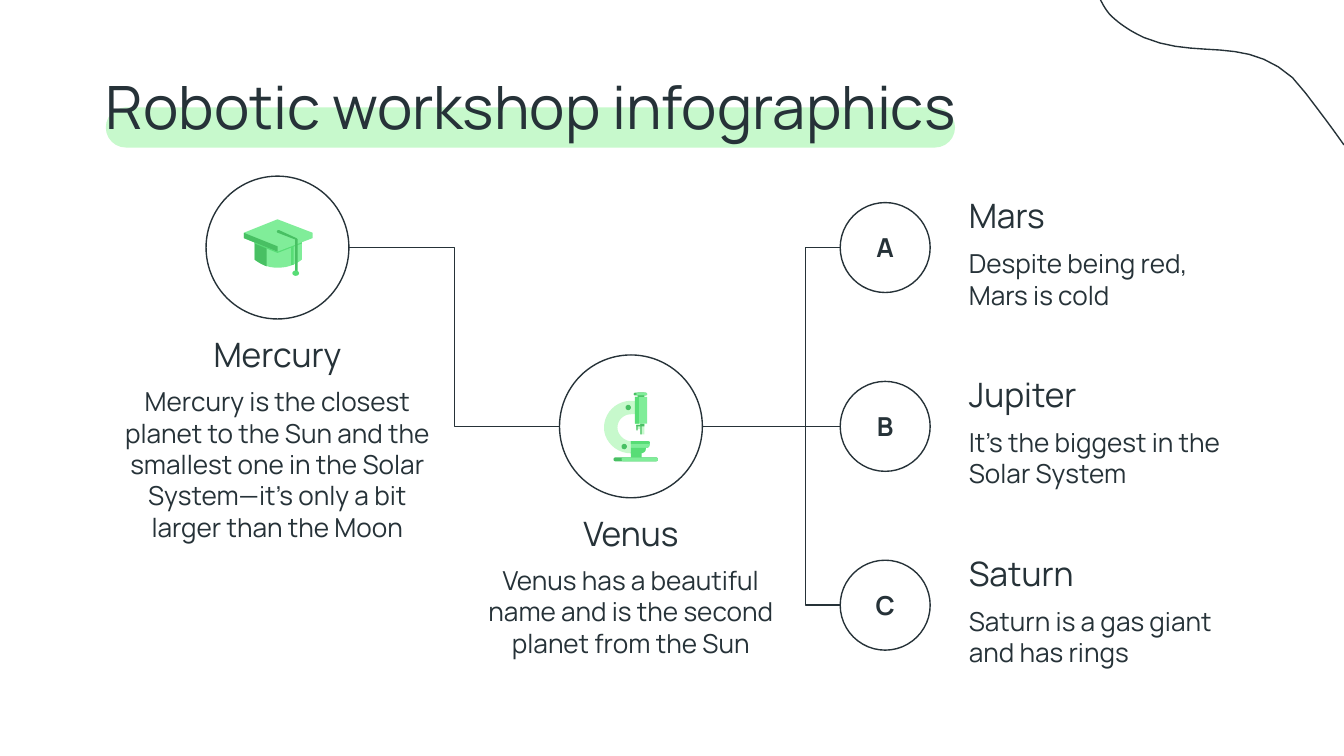
from dataclasses import dataclass

from lxml import etree
from pptx import Presentation
from pptx.dml.color import RGBColor
from pptx.enum.shapes import MSO_CONNECTOR, MSO_SHAPE
from pptx.enum.text import MSO_ANCHOR, PP_ALIGN
from pptx.oxml.ns import qn
from pptx.util import Cm, Pt

ELBOW, STRAIGHT = MSO_CONNECTOR.ELBOW, MSO_CONNECTOR.STRAIGHT
OVAL, RECT, PILL = MSO_SHAPE.OVAL, MSO_SHAPE.RECTANGLE, MSO_SHAPE.ROUNDED_RECTANGLE
LEFT, CENTER = PP_ALIGN.LEFT, PP_ALIGN.CENTER
TOP, MIDDLE, BOTTOM = MSO_ANCHOR.TOP, MSO_ANCHOR.MIDDLE, MSO_ANCHOR.BOTTOM


@dataclass(frozen=True)
class Theme:
    ink: str = "263238"
    white: str = "FFFFFF"
    pale: str = "C7F9CC"
    light: str = "80ED99"
    mid: str = "58DD76"
    dark: str = "48C063"
    font: str = "Manrope"
    title: int = 32
    heading: int = 18
    body: int = 14
    line: float = 0.75


@dataclass(frozen=True)
class Box:
    """A rectangle in centimetres."""
    left: float
    top: float
    width: float
    height: float

    @property
    def right(self):
        return self.left + self.width

    @property
    def middle(self):
        return self.top + self.height / 2

    def inner(self, left, top, width, height):
        return Box(self.left + left, self.top + top, width, height)

    def lengths(self):
        return [Cm(v) for v in (self.left, self.top, self.width, self.height)]


THEME = Theme()
INSET = 0.25
PITCH = 3.38
ICON_GRID = 106  # icon units across its circle

# Icon parts: (form, colour, geometry). A form of None is an outline whose
# pairs are corners and whose sixes are Bezier curves.
CAP = [
    (None, THEME.light, [(36, 49), (36, 62), (41, 66, 47, 68, 53, 68),
                         (60, 68, 66, 66, 71, 62), (71, 49)]),
    (None, THEME.dark, [(36, 49), (36, 62), (39, 64, 42, 66, 45, 67), (45, 49)]),
    (RECT, THEME.mid, (63, 51, 2, 15)),
    (None, THEME.mid, [(36, 49), (36, 50), (53, 57), (71, 50), (71, 49)]),
    (None, THEME.light, [(53, 32), (28, 42), (28, 46), (53, 56), (79, 46), (79, 42)]),
    (None, THEME.dark, [(28, 42), (28, 46), (53, 56), (53, 52)]),
    (None, THEME.dark, [(54, 40), (53, 40, 52, 41, 53, 42), (66, 47), (66, 70),
                        (66, 70, 66, 71, 67, 71), (67, 71, 68, 70, 68, 70),
                        (68, 47), (68, 47, 67, 46, 67, 46)]),
    (OVAL, THEME.mid, (64, 70, 5, 4)),
]
MICROSCOPE = [
    (None, THEME.pale, [(57, 51), (57, 55), (62, 55), (60, 51)]),
    (RECT, THEME.pale, (60, 51, 3, 8)),
    (RECT, THEME.dark, (60, 51, 3, 2)),
    (RECT, THEME.dark, (60, 51, 1, 8)),
    (RECT, THEME.dark, (57, 52, 3, 1)),
    (RECT, THEME.dark, (57, 52, 1, 4)),
    (RECT, THEME.dark, (58, 28, 5, 5)),
    (None, THEME.pale, [(53, 34), (42, 34, 33, 43, 33, 54), (33, 64, 42, 73, 53, 73),
                        (56, 69), (53, 64), (48, 64, 43, 59, 43, 54),
                        (43, 48, 48, 44, 53, 44), (56, 44), (59, 39), (56, 34)]),
    (RECT, THEME.mid, (53, 72, 8, 6)),
    (RECT, THEME.light, (56, 31, 9, 20)),
    (RECT, THEME.mid, (56, 31, 3, 20)),
    (None, THEME.light, [(53, 64), (53, 69), (65, 69), (66, 69, 67, 68, 67, 66),
                         (67, 65, 66, 64, 65, 64)]),
    (None, THEME.mid, [(53, 64), (53, 66), (65, 66), (66, 66, 67, 66, 67, 65),
                       (67, 64, 66, 64, 65, 64)]),
    (None, THEME.mid, [(53, 69), (53, 73), (60, 73), (62, 73, 64, 72, 64, 70), (64, 69)]),
    (PILL, THEME.dark, (55, 28, 10, 2)),
    (PILL, THEME.light, (57, 28, 8, 2)),
    (PILL, THEME.dark, (40, 76, 33, 3)),
    (PILL, THEME.light, (46, 76, 27, 3)),
    (OVAL, THEME.dark, (49, 37, 4, 4)),
    (OVAL, THEME.dark, (46, 66, 4, 4)),
]
CORNER_CURVE = [(20.8, 0), (20.85, 0.1, 20.91, 0.2, 20.98, 0.28),
                (21.13, 0.43, 21.34, 0.58, 21.62, 0.71),
                (22.63, 1.14, 23.52, 0.66, 24.43, 1.47),
                (24.51, 1.57, 24.61, 1.68, 24.69, 1.78),
                (24.94, 2.11, 25.17, 2.41, 25.4, 2.74)]


def style(shape, fill=None, line=None):
    shape.shadow.inherit = False
    if fill:
        shape.fill.solid()
        shape.fill.fore_color.rgb = RGBColor.from_string(fill)
    else:
        shape.fill.background()
    if line:
        shape.line.color.rgb = RGBColor.from_string(line)
        shape.line.width = Pt(THEME.line)
    else:
        shape.line.fill.background()


def add_preset(shapes, form, box, fill, line=None):
    shape = shapes.add_shape(form, *box.lengths())
    if form == PILL:
        shape.adjustments[0] = 0.5
    style(shape, fill, line)
    return shape


def flatten(segments, steps=10):
    points = []
    for segment in segments:
        if len(segment) == 2:
            points.append(segment)
            continue
        curve = [points[-1], segment[:2], segment[2:4], segment[4:]]
        for step in range(1, steps + 1):
            t = step / steps
            weights = ((1 - t) ** 3, 3 * t * (1 - t) ** 2, 3 * t * t * (1 - t), t ** 3)
            points.append(tuple(sum(w * p[axis] for w, p in zip(weights, curve))
                                for axis in (0, 1)))
    return points


def add_outline(shapes, segments, fill=None, line=None, origin=(0, 0), unit=1):
    points = [tuple(Cm(start + v * unit) for start, v in zip(origin, point))
              for point in flatten(segments)]
    builder = shapes.build_freeform(*points[0])
    builder.add_line_segments(points[1:], close=bool(fill))
    style(builder.convert_to_shape(), fill, line)


def write(shape, text, size, align=LEFT, anchor=TOP, bold=None, side=INSET):
    frame = shape.text_frame
    frame.word_wrap = True
    frame.vertical_anchor = anchor
    frame.margin_left = frame.margin_right = Cm(side)
    frame.margin_top = frame.margin_bottom = Cm(INSET)
    paragraph = frame.paragraphs[0]
    paragraph.alignment = align
    run = paragraph.add_run()
    run.text = text
    run.font.name, run.font.size, run.font.bold = THEME.font, Pt(size), bold
    run.font.color.rgb = RGBColor.from_string(THEME.ink)


def add_text(slide, box, *args, **options):
    write(slide.shapes.add_textbox(*box.lengths()), *args, **options)


def add_link(slide, start, end, bend=None):
    """Join the right of one circle to the left of another."""
    points = [Cm(v) for v in (start.right, start.middle, end.left, end.middle)]
    connector = slide.shapes.add_connector(ELBOW if bend else STRAIGHT, *points)
    connector.line.color.rgb = RGBColor.from_string(THEME.ink)
    connector.line.width = Pt(THEME.line)
    properties = connector._element.spPr
    if bend:
        guides = properties.find(qn("a:prstGeom")).get_or_add_avLst()
        etree.SubElement(guides, qn("a:gd"), name="adj1", fmla=f"val {bend * 1000}")
    etree.SubElement(properties, qn("a:effectLst"))


def add_title(slide, box, text):
    add_preset(slide.shapes, PILL, box.inner(0, 0.96, 16.05, 0.76), THEME.pale)
    add_text(slide, box, text, THEME.title, side=0)


def add_icon(slide, box, parts):
    shapes = slide.shapes.add_group_shape().shapes
    unit = box.width / ICON_GRID
    for form, colour, geometry in parts:
        if form is None:
            add_outline(shapes, geometry, colour, origin=(box.left, box.top), unit=unit)
        else:
            add_preset(shapes, form, box.inner(*(v * unit for v in geometry)), colour)


def add_planet(slide, box, name, text, icon):
    size = 2.7
    circle = box.inner((box.width - size) / 2, 0, size, size)
    add_preset(slide.shapes, OVAL, circle, THEME.white, THEME.ink)
    add_icon(slide, circle, icon)
    add_text(slide, box.inner(0, 2.96, box.width, 1.04), name, THEME.heading, CENTER, BOTTOM)
    add_text(slide, box.inner(0, 3.71, box.width, box.height - 3.71), text, THEME.body, CENTER)
    return circle


def add_branch(slide, box, letter, name, text):
    circle = box.inner(0, 0.17, 1.7, 1.7)
    shape = add_preset(slide.shapes, OVAL, circle, THEME.white, THEME.ink)
    write(shape, letter, THEME.body, CENTER, MIDDLE, bold=True)
    indent = 2.18
    width = box.width - indent
    add_text(slide, box.inner(indent, 0, width, 1.04), name, THEME.heading, anchor=BOTTOM)
    add_text(slide, box.inner(indent, 0.77, width, 1.5), text, THEME.body)
    return circle


def main():
    presentation = Presentation()
    presentation.slide_width, presentation.slide_height = Cm(25.4), Cm(14.29)
    slide = presentation.slides.add_slide(presentation.slide_layouts[6])

    # Corner line and title
    add_outline(slide.shapes, CORNER_CURVE, line=THEME.ink)
    add_title(slide, Box(2, 1.07, 21.4, 1.7), "Robotic workshop infographics")

    # Main planets
    mercury = add_planet(
        slide, Box(1.98, 3.33, 6.53, 7.09), "Mercury",
        "Mercury is the closest planet to the Sun and the smallest one in the "
        "Solar System—it’s only a bit larger than the Moon", CAP)
    venus = add_planet(
        slide, Box(8.66, 3.33 + PITCH, 6.53, 6.07), "Venus",
        "Venus has a beautiful name and is the second planet from the Sun", MICROSCOPE)
    add_link(slide, mercury, venus, bend=50)

    # Branches
    branches = [("A", "Mars", "Despite being red, Mars is cold", 75),
                ("B", "Jupiter", "It’s the biggest in the Solar System", None),
                ("C", "Saturn", "Saturn is a gas giant and has rings", 75)]
    for row, (letter, name, text, bend) in enumerate(branches):
        box = Box(15.88, 3.66 + row * PITCH, 7.54, 2.27)
        add_link(slide, venus, add_branch(slide, box, letter, name, text), bend)

    presentation.save("out.pptx")


if __name__ == "__main__":
    main()
